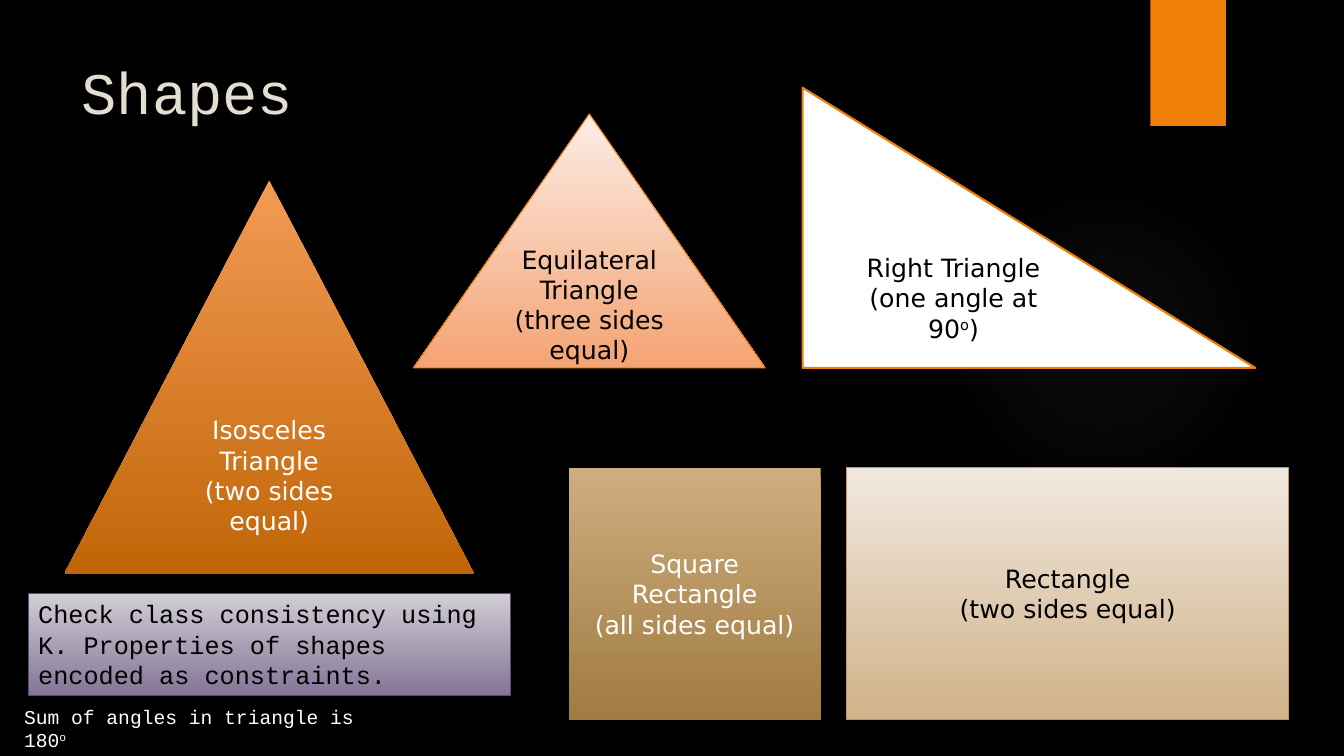
from pptx import Presentation
from pptx import util as u
from pptx.dml.color import RGBColor
from pptx.enum import shapes, text
from pptx.oxml import parse_xml
from pptx.oxml.ns import nsdecls

PX = 9144  # EMU per px, 100 px to the inch

BLACK = RGBColor(0x00, 0x00, 0x00)
WHITE = RGBColor(0xFF, 0xFF, 0xFF)
CREAM = RGBColor(0xE3, 0xDE, 0xD1)
GREY = RGBColor(0x84, 0x84, 0x84)
ORANGE = RGBColor(0xF0, 0x7F, 0x09)
ORANGE_MID = RGBColor(0xF3, 0x9A, 0x55)
ORANGE_DARK = RGBColor(0xC1, 0x66, 0x07)
PEACH_LIGHT = RGBColor(0xFC, 0xED, 0xE6)
PEACH = RGBColor(0xF4, 0xA3, 0x73)
TAN = RGBColor(0xCE, 0xAE, 0x7E)
TAN_DARK = RGBColor(0xA0, 0x7B, 0x42)
SAND_LIGHT = RGBColor(0xF0, 0xE8, 0xDF)
SAND = RGBColor(0xD0, 0xB2, 0x8A)
SAND_LINE = RGBColor(0xC1, 0x98, 0x59)
LILAC_LIGHT = RGBColor(0xD1, 0xCD, 0xD5)
LILAC = RGBColor(0x84, 0x75, 0x96)
PURPLE = RGBColor(0x60, 0x48, 0x78)

MONO, SANS = "Courier New", "DejaVu Sans"
KIND = shapes.MSO_SHAPE
ALIGN = text.PP_ALIGN
ANCHOR = text.MSO_ANCHOR


class Deck:
    def __init__(self, width, height, background):
        self.prs = Presentation()
        self.prs.slide_width, self.prs.slide_height = width * PX, height * PX
        self.s = self.prs.slides.add_slide(self.prs.slide_layouts[6])
        self.s.background.fill.solid()
        self.s.background.fill.fore_color.rgb = background

    def set_text(self, sp, lines, size, font, color, align=ALIGN.LEFT, anchor=ANCHOR.TOP):
        """Fill the frame; text between carets is superscript."""
        tf = sp.text_frame
        tf.word_wrap = True
        tf.vertical_anchor = anchor
        for i, line in enumerate(lines):
            p = tf.add_paragraph() if i else tf.paragraphs[0]
            p.alignment = align
            p.font.size, p.font.name = u.Pt(size), font
            p.font.color.rgb = color
            for j, part in enumerate(line.split("^")):
                r = p.add_run()
                r.text = part
                if j % 2:
                    r._r.get_or_add_rPr().set("baseline", "30000")

    def shape(self, kind, box, fill, line=None, weight=0.75):
        """Add a shape; a pair of fill colours runs from top to bottom."""
        sp = self.s.shapes.add_shape(kind, *(v * PX for v in box))
        sp.shadow.inherit = False
        if isinstance(fill, RGBColor):
            sp.fill.solid()
            sp.fill.fore_color.rgb = fill
        else:
            sp.fill.gradient()
            sp.fill.gradient_angle = 270
            for stop, color in zip(sp.fill.gradient_stops, fill):
                stop.color.rgb = color
        if line is None:
            sp.line.fill.background()
        else:
            sp.line.color.rgb = line
            sp.line.width = u.Pt(weight)
        return sp

    def figure(self, kind, box, fill, lines, color, line=None, weight=0.75):
        sp = self.shape(kind, box, fill, line, weight)
        self.set_text(sp, lines, 18, SANS, color, ALIGN.CENTER, ANCHOR.MIDDLE)

    def label(self, box, line, size, color):
        sp = self.s.shapes.add_textbox(*(v * PX for v in box))
        self.set_text(sp, [line], size, MONO, color)

    def glow(self, box, color, stops):
        """Add a circle that fades outwards; stops are (position, opacity) in percent."""
        sp = self.shape(KIND.OVAL, box, color)
        marks = "".join(
            f'<a:gs pos="{pos * 1000}"><a:srgbClr val="{color}">'
            f'<a:alpha val="{alpha * 1000}"/></a:srgbClr></a:gs>'
            for pos, alpha in stops)
        grad = parse_xml(
            f'<a:gradFill {nsdecls("a")}><a:gsLst>{marks}</a:gsLst><a:path path="circle">'
            '<a:fillToRect l="50000" t="50000" r="50000" b="50000"/></a:path></a:gradFill>')
        solid = sp._element.spPr.find("{*}solidFill")
        sp._element.spPr.replace(solid, grad)


def main():
    d = Deck(1333, 750, BLACK)

    # Backdrop
    d.glow((941, 183, 308, 308), GREY, [(0, 7), (36, 6), (69, 0)])
    d.shape(KIND.RECTANGLE, (1141, 0, 75, 125), ORANGE)

    # Title
    d.label((71, 50, 1029, 153), "Shapes", 42, CREAM)

    # Triangles
    d.figure(KIND.ISOSCELES_TRIANGLE, (64, 179, 406, 390), (ORANGE_MID, ORANGE_DARK),
             ["Isosceles Triangle", "(two sides equal)"], WHITE)
    d.figure(KIND.RIGHT_TRIANGLE, (796, 87, 449, 278), WHITE,
             ["Right Triangle", "(one angle at 90^o^)"], BLACK, ORANGE, 1.5)
    d.figure(KIND.ISOSCELES_TRIANGLE, (410, 113, 349, 252), (PEACH_LIGHT, PEACH),
             ["Equilateral Triangle", "(three sides equal)"], BLACK, ORANGE)

    # Rectangles
    d.figure(KIND.RECTANGLE, (564, 464, 250, 250), (TAN, TAN_DARK),
             ["Square", "Rectangle", "(all sides equal)"], WHITE)
    d.figure(KIND.RECTANGLE, (840, 464, 438, 250), (SAND_LIGHT, SAND),
             ["Rectangle", "(two sides equal)"], BLACK, SAND_LINE)

    # Notes on the constraints
    d.label((14, 694, 375, 34), "Sum of angles in triangle is 180^o^", 14, WHITE)
    note = d.shape(KIND.RECTANGLE, (28, 589, 478, 101), (LILAC_LIGHT, LILAC), PURPLE)
    d.set_text(note, ["Check class consistency using K. Properties of shapes "
                      "encoded as constraints."], 18, MONO, BLACK)

    d.prs.save("out.pptx")


if __name__ == "__main__":
    main()
